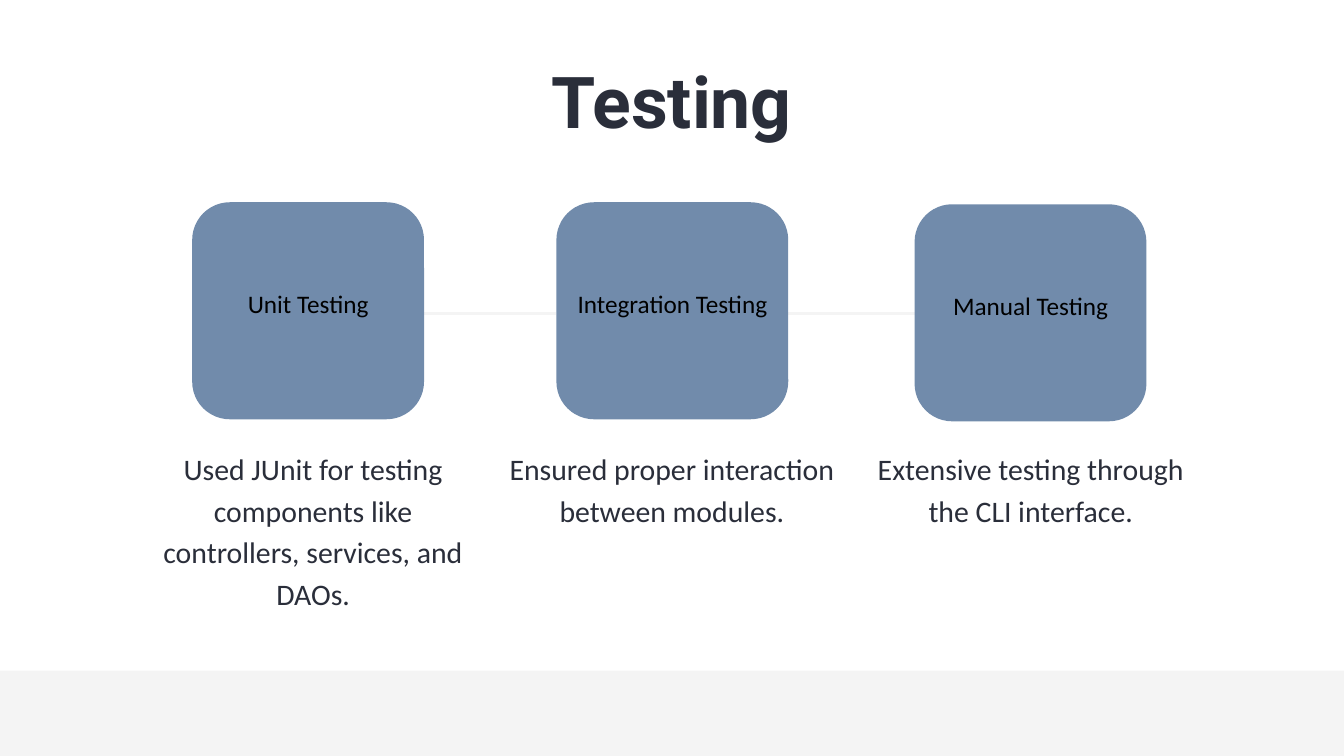
from lxml import etree
from pptx import Presentation
from pptx.dml.color import RGBColor
from pptx.enum.shapes import MSO_CONNECTOR, MSO_SHAPE
from pptx.enum.text import MSO_ANCHOR, PP_ALIGN
from pptx.oxml.ns import qn
from pptx.util import Inches, Pt

STRAIGHT = MSO_CONNECTOR.STRAIGHT
RECTANGLE = MSO_SHAPE.RECTANGLE
ROUNDED = MSO_SHAPE.ROUNDED_RECTANGLE
TOP = MSO_ANCHOR.TOP
MIDDLE = MSO_ANCHOR.MIDDLE
CENTER = PP_ALIGN.CENTER

WHITE = RGBColor(0xFF, 0xFF, 0xFF)
BLACK = RGBColor(0x00, 0x00, 0x00)
INK = RGBColor(0x2A, 0x2E, 0x3A)
STEEL = RGBColor(0x71, 0x8B, 0xAB)
PALE = RGBColor(0xF4, 0xF4, 0xF4)

WIDTH, HEIGHT = 20, 11.25
FOOTER_HEIGHT = 1.27
CARD_WIDTH, CARD_HEIGHT, CARD_RADIUS = 3.45, 3.23, 0.56
CAPTION_LEFT, CAPTION_TOP, CAPTION_WIDTH = 2.15, 6.62, 5.02
COLUMN_STEP = 5.34
LINE_HEIGHT = 0.62
LINK_Y = 4.66

STAGES = [
    ("Unit Testing", 2.86, 3.01, 4,
     "Used JUnit for testing components like controllers, services, and DAOs."),
    ("Integration Testing", 8.28, 3.01, 3,
     "Ensured proper interaction between modules."),
    ("Manual Testing", 13.61, 3.04, 2,
     "Extensive testing through the CLI interface."),
]


def write_text(shape, text, font_name, size, color, spacing, bold=False,
               anchor=TOP, insets=(0, 0, 0, 0)):
    frame = shape.text_frame
    frame.word_wrap = True
    frame.vertical_anchor = anchor
    (frame.margin_left, frame.margin_top,
     frame.margin_right, frame.margin_bottom) = map(Inches, insets)
    frame.text = text
    paragraph = frame.paragraphs[0]
    paragraph.alignment = CENTER
    paragraph.line_spacing = Pt(spacing)
    font = paragraph.runs[0].font
    font.name = font_name
    font.size = Pt(size)
    font.bold = bold
    font.color.rgb = color


def add_text(slide, left, top, width, height, text, *style, **options):
    box = slide.shapes.add_textbox(*map(Inches, (left, top, width, height)))
    write_text(box, text, *style, **options)


def add_block(slide, kind, left, top, width, height, color):
    shape = slide.shapes.add_shape(kind, *map(Inches, (left, top, width, height)))
    shape.shadow.inherit = False
    shape.fill.solid()
    shape.fill.fore_color.rgb = color
    shape.line.fill.background()
    return shape


def add_link(slide, start, end):
    link = slide.shapes.add_connector(
        STRAIGHT, Inches(start), Inches(LINK_Y), Inches(end), Inches(LINK_Y))
    link.line.color.rgb = PALE
    link.line.width = Pt(3)
    etree.SubElement(link._element.spPr, qn("a:effectLst"))


def add_card(slide, label, left, top):
    card = add_block(slide, ROUNDED, left, top, CARD_WIDTH, CARD_HEIGHT, STEEL)
    card.adjustments[0] = CARD_RADIUS / CARD_HEIGHT
    write_text(card, label, "Calibri", 27, BLACK, 37.8,
               anchor=MIDDLE, insets=(0.06, 0.06, 0.06, 0.34))


def main():
    presentation = Presentation()
    presentation.slide_width = Inches(WIDTH)
    presentation.slide_height = Inches(HEIGHT)
    slide = presentation.slides.add_slide(presentation.slide_layouts[6])
    slide.background.fill.solid()
    slide.background.fill.fore_color.rgb = WHITE

    for current, following in zip(STAGES, STAGES[1:]):
        add_link(slide, current[1] + CARD_WIDTH, following[1])
    add_block(slide, RECTANGLE, 0, HEIGHT - FOOTER_HEIGHT, WIDTH, FOOTER_HEIGHT, PALE)
    add_text(slide, 2.3, 0.75, 15.39, 1.36, "Testing", "Roboto", 76.6, INK, 99.5,
             bold=True)

    for column, (label, left, top, lines, caption) in enumerate(STAGES):
        add_card(slide, label, left, top)
        add_text(slide, CAPTION_LEFT + column * COLUMN_STEP, CAPTION_TOP,
                 CAPTION_WIDTH, lines * LINE_HEIGHT, caption,
                 "Calibri", 31.9, INK, 44.6)

    presentation.save("out.pptx")


if __name__ == "__main__":
    main()
